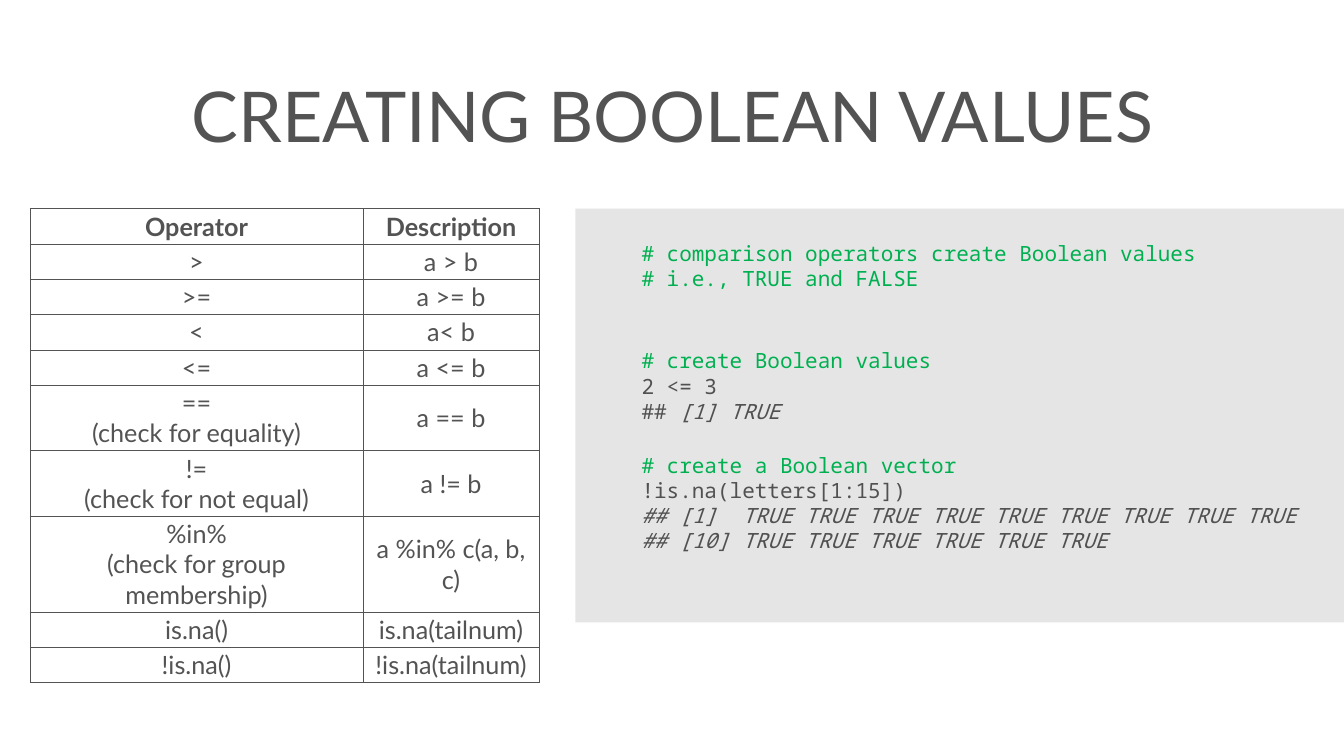
from lxml import etree
from pptx import Presentation
from pptx.dml.color import RGBColor
from pptx.enum import shapes, text
from pptx.oxml.ns import qn
from pptx.util import Inches, Pt

GREY = RGBColor(0x53, 0x53, 0x53)
CODE_GREY = RGBColor(0x51, 0x51, 0x51)
PANEL = RGBColor(0xE5, 0xE5, 0xE5)
GREEN = RGBColor(0x00, 0xB0, 0x50)
BODY_FONT, CODE_FONT = "Lato", "Noto Sans Mono"

TITLE = "CREATING BOOLEAN VALUES"
OPERATORS = [
    ("Operator", "Description"),
    (">", "a > b"),
    (">=", "a >= b"),
    ("<", "a< b"),
    ("<=", "a <= b"),
    ("==\n(check for equality)", "a == b"),
    ("!=\n(check for not equal)", "a != b"),
    ("%in%\n(check for group membership)", "a %in% c(a, b, c)"),
    ("is.na()", "is.na(tailnum)"),
    ("!is.na()", "!is.na(tailnum)"),
]
ROW_LINES = [1, 1, 1, 1, 1, 2, 2, 3, 1, 1]
COLUMN_WIDTHS = [6.6, 3.5]

# Each line: empty lines above it, then (text, colour, italic) spans
CODE = [
    (0, [("# comparison operators create Boolean values", GREEN, False)]),
    (0, [("# i.e., TRUE and FALSE", GREEN, False)]),
    (2, [("# create Boolean values", GREEN, False)]),
    (0, [("2 <= 3", CODE_GREY, False)]),
    (0, [("## ", CODE_GREY, False), ("[1] TRUE", CODE_GREY, True)]),
    (1, [("# create a Boolean vector", GREEN, False)]),
    (0, [("!is.na(letters[1:15])", CODE_GREY, False)]),
    (0, [("## [1]  TRUE TRUE TRUE TRUE TRUE TRUE TRUE TRUE TRUE", CODE_GREY, True)]),
    (0, [("## [10] TRUE TRUE TRUE TRUE TRUE TRUE", CODE_GREY, True)]),
]
CODE_SIZE = 30
CODE_LINE = Pt(CODE_SIZE * 1.36)


def style(span, font, size, color, bold=False, italic=False):
    span.font.name, span.font.size = font, Pt(size)
    span.font.bold, span.font.italic = bold, italic
    span.font.color.rgb = color


def set_margins(frame, left=0.06, top=0.06):
    frame.margin_left, frame.margin_top = Inches(left), Inches(top)
    frame.margin_right = frame.margin_bottom = Inches(0.06)
    frame.word_wrap = True


def add_borders(cell):
    properties = cell._tc.get_or_add_tcPr()
    for position, side in enumerate(("lnL", "lnR", "lnT", "lnB")):
        line = etree.Element(qn(f"a:{side}"), w=str(Pt(1)))
        fill = etree.SubElement(line, qn("a:solidFill"))
        etree.SubElement(fill, qn("a:srgbClr"), val=str(GREY))
        properties.insert(position, line)


def add_title(slide):
    box = slide.shapes.add_textbox(Inches(0.74), Inches(0.39), Inches(25.21), Inches(3.75))
    frame = box.text_frame
    set_margins(frame)
    frame.vertical_anchor = text.MSO_ANCHOR.MIDDLE
    frame.text = TITLE
    para = frame.paragraphs[0]
    para.alignment = text.PP_ALIGN.CENTER
    style(para.runs[0], BODY_FONT, 100, GREY)


def add_code_panel(slide):
    panel = slide.shapes.add_shape(shapes.MSO_SHAPE.RECTANGLE, Inches(11.42), Inches(4.14),
                                   Inches(15.25), Inches(8.21))
    panel.shadow.inherit = False
    panel.fill.solid()
    panel.fill.fore_color.rgb = PANEL
    panel.line.fill.background()
    frame = panel.text_frame
    set_margins(frame, left=1.31, top=0.63)
    frame.vertical_anchor = text.MSO_ANCHOR.TOP
    for index, (gap, spans) in enumerate(CODE):
        para = frame.add_paragraph() if index else frame.paragraphs[0]
        para.alignment = text.PP_ALIGN.LEFT
        if gap:
            para.space_before = gap * CODE_LINE
        for words, color, italic in spans:
            span = para.add_run()
            span.text = words
            style(span, CODE_FONT, CODE_SIZE, color, italic=italic)


def add_operator_table(slide):
    table = slide.shapes.add_table(len(OPERATORS), len(COLUMN_WIDTHS), Inches(0.6), Inches(4.14),
                                   Inches(sum(COLUMN_WIDTHS)), Inches(9.4)).table
    table.first_row = table.horz_banding = False
    for column, width in zip(table.columns, COLUMN_WIDTHS):
        column.width = Inches(width)
    for index, (row, lines) in enumerate(zip(table.rows, ROW_LINES)):
        row.height = Inches(0.1 + 0.6 * lines)
        for cell, words in zip(row.cells, OPERATORS[index]):
            cell.text = words
            cell.vertical_anchor = text.MSO_ANCHOR.MIDDLE
            cell.fill.background()
            add_borders(cell)
            for para in cell.text_frame.paragraphs:
                para.alignment = text.PP_ALIGN.CENTER
                style(para.runs[0], BODY_FONT, 36, GREY, bold=index == 0)


def main():
    deck = Presentation()
    deck.slide_width, deck.slide_height = Inches(26.67), Inches(15)
    slide = deck.slides.add_slide(deck.slide_layouts[6])
    add_title(slide)
    add_code_panel(slide)
    add_operator_table(slide)
    deck.save("out.pptx")


if __name__ == "__main__":
    main()
